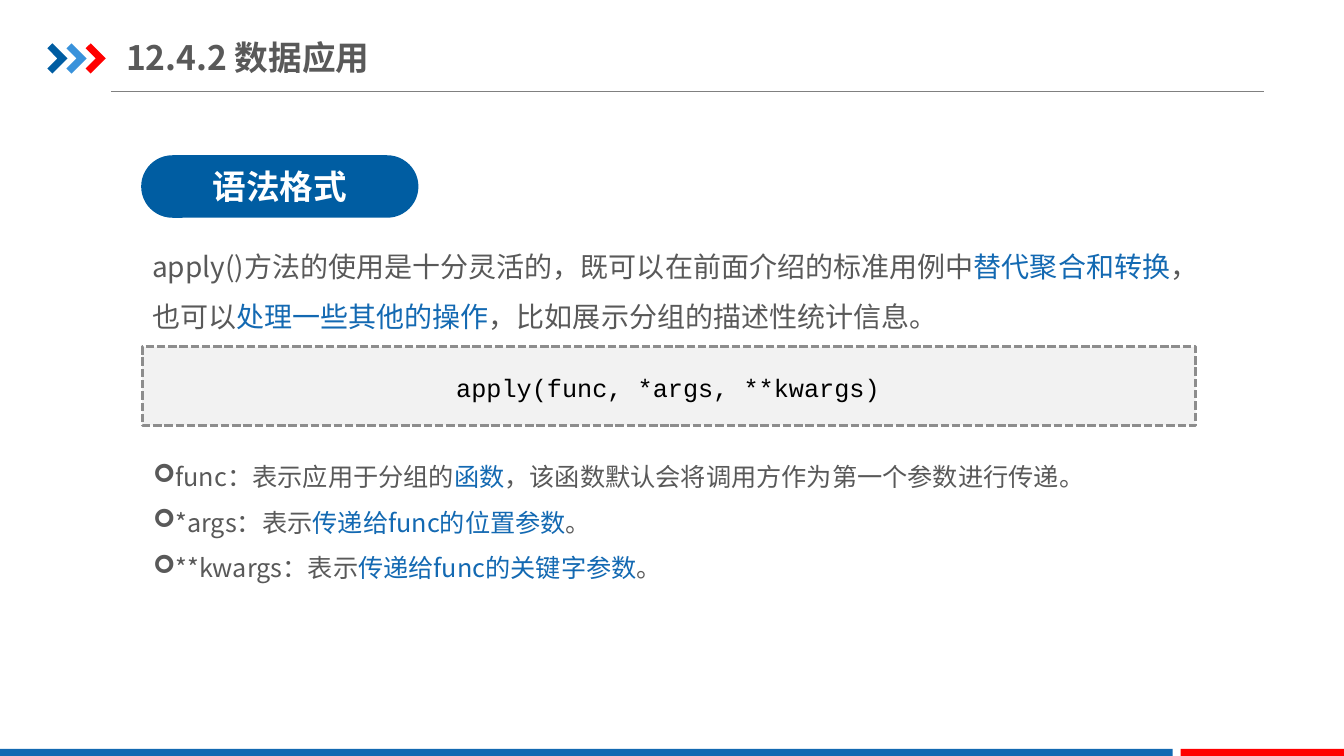
from lxml.etree import SubElement
from pptx import Presentation
from pptx.dml.color import RGBColor
from pptx.enum.dml import MSO_LINE
from pptx.enum.shapes import MSO_CONNECTOR, MSO_SHAPE
from pptx.enum.text import MSO_ANCHOR, MSO_AUTO_SIZE, PP_ALIGN
from pptx.oxml.ns import qn
from pptx.util import Inches, Pt

SANS, MONO = "Noto Sans CJK SC", "Courier New"
GREY, BLUE, NAVY, RED = "595959", "1369B2", "005DA2", "FF0000"

TITLE = [[("12.4.2 数据应用", GREY)]]
BADGE = [[("语法格式", "FFFFFF")]]
INTRO = [[
    ("apply()方法的使用是十分灵活的，既可以在前面介绍的标准用例中", GREY),
    ("替代聚合和转换", BLUE),
    ("，也可以", GREY),
    ("处理一些其他的操作", BLUE),
    ("，比如展示分组的描述性统计信息。", GREY),
]]
SYNTAX = [[("apply(func,\u00a0*args,\u00a0**kwargs)", "000000")]]
PARAMETERS = [
    [("func：表示应用于分组的", GREY), ("函数", BLUE),
     ("，该函数默认会将调用方作为第一个参数进行传递。", GREY)],
    [("*args：表示", GREY), ("传递给func的位置参数", BLUE), ("。", GREY)],
    [("**kwargs：表示", GREY), ("传递给func的关键字参数", BLUE), ("。", GREY)],
]

CHEVRON_COLOURS = [NAVY, "3992DB", RED]
CHEVRON_LEFT, CHEVRON_TOP, CHEVRON_STEP = 0.47, 0.43, 0.19
CHEVRON_OUTLINE = [(0, 0.05), (0.05, 0), (0.2, 0.15), (0.05, 0.3), (0, 0.25), (0.1, 0.15)]
FOOTER_BARS = [(0, 11.63, BLUE), (11.71, 1.63, RED)]


def colour(value):
    return RGBColor.from_string(value)


def paint(shape, fill):
    shape.shadow.inherit = False
    shape.fill.solid()
    shape.fill.fore_color.rgb = colour(fill)
    shape.line.fill.background()
    return shape


def add_block(page, kind, place, fill):
    return paint(page.shapes.add_shape(kind, *map(Inches, place)), fill)


def add_box(page, place):
    box = page.shapes.add_textbox(*map(Inches, place))
    box.text_frame.word_wrap = True
    return box


def write(shape, paragraphs, size, font=SANS, bold=False, align=PP_ALIGN.LEFT,
          spacing=None, indent=0, bullet=None):
    frame = shape.text_frame
    for index, spans in enumerate(paragraphs):
        para = frame.paragraphs[0] if index == 0 else frame.add_paragraph()
        para.alignment = align
        if spacing:
            para.line_spacing = spacing
        properties = para._p.get_or_add_pPr()
        if indent:
            properties.set("marL", "0")
            properties.set("indent", str(Inches(indent)))
        if bullet:
            SubElement(properties, qn("a:buFont")).set("typeface", "Wingdings")
            SubElement(properties, qn("a:buChar")).set("char", bullet)
        for text, tint in spans:
            span = para.add_run()
            span.text = text
            span.font.size = Pt(size)
            span.font.bold = bold
            span.font.name = font
            span.font.color.rgb = colour(tint)
            SubElement(span._r.get_or_add_rPr(), qn("a:ea")).set("typeface", font)


def add_frame(page):
    rule = page.shapes.add_connector(
        MSO_CONNECTOR.STRAIGHT, Inches(1.1), Inches(0.91), Inches(12.54), Inches(0.91))
    rule.line.color.rgb = colour("808080")
    rule.line.width = Pt(0.75)
    SubElement(rule._element.spPr, qn("a:effectLst"))
    for index, fill in enumerate(CHEVRON_COLOURS):
        left = CHEVRON_LEFT + index * CHEVRON_STEP
        points = [(Inches(left + x), Inches(CHEVRON_TOP + y)) for x, y in CHEVRON_OUTLINE]
        outline = page.shapes.build_freeform(*points[0], scale=1.0)
        outline.add_line_segments(points[1:], close=True)
        paint(outline.convert_to_shape(), fill)
    for left, width, fill in FOOTER_BARS:
        add_block(page, MSO_SHAPE.RECTANGLE, (left, 7.43, width, 0.09), fill)


def add_content(page):
    title = add_box(page, (1.25, 0.29, 4.55, 0.55))
    title.text_frame.vertical_anchor = MSO_ANCHOR.MIDDLE
    title.text_frame.margin_left = title.text_frame.margin_right = 0
    title.text_frame.margin_top = title.text_frame.margin_bottom = Inches(0.07)
    write(title, TITLE, 24, bold=True)

    badge = add_block(page, MSO_SHAPE.ROUNDED_RECTANGLE, (1.4, 1.54, 2.75, 0.62), NAVY)
    badge.adjustments[0] = 0.5
    badge.text_frame.vertical_anchor = MSO_ANCHOR.MIDDLE
    write(badge, BADGE, 24, bold=True, align=PP_ALIGN.CENTER)

    intro = add_box(page, (1.41, 2.26, 10.45, 1.05))
    write(intro, INTRO, 20, spacing=1.5)

    panel = add_block(page, MSO_SHAPE.RECTANGLE, (1.41, 3.44, 10.45, 0.78), "F2F2F2")
    panel.line.color.rgb = colour("8D8D8D")
    panel.line.width = Pt(2)
    panel.line.dash_style = MSO_LINE.SQUARE_DOT

    syntax = add_box(page, (1.78, 3.6, 9.4, 0.44))
    write(syntax, SYNTAX, 18, MONO, align=PP_ALIGN.CENTER, spacing=1.15, indent=0.29)

    parameters = add_box(page, (1.42, 4.38, 10.44, 1.46))
    write(parameters, PARAMETERS, 18, spacing=1.5, indent=-0.38, bullet="➢")

    for box in (intro, syntax, parameters):
        box.text_frame.auto_size = MSO_AUTO_SIZE.SHAPE_TO_FIT_TEXT


def main():
    deck = Presentation()
    deck.slide_width, deck.slide_height = Inches(13.33), Inches(7.5)
    page = deck.slides.add_slide(deck.slide_layouts[6])
    add_frame(page)
    add_content(page)
    deck.save("out.pptx")


if __name__ == "__main__":
    main()
